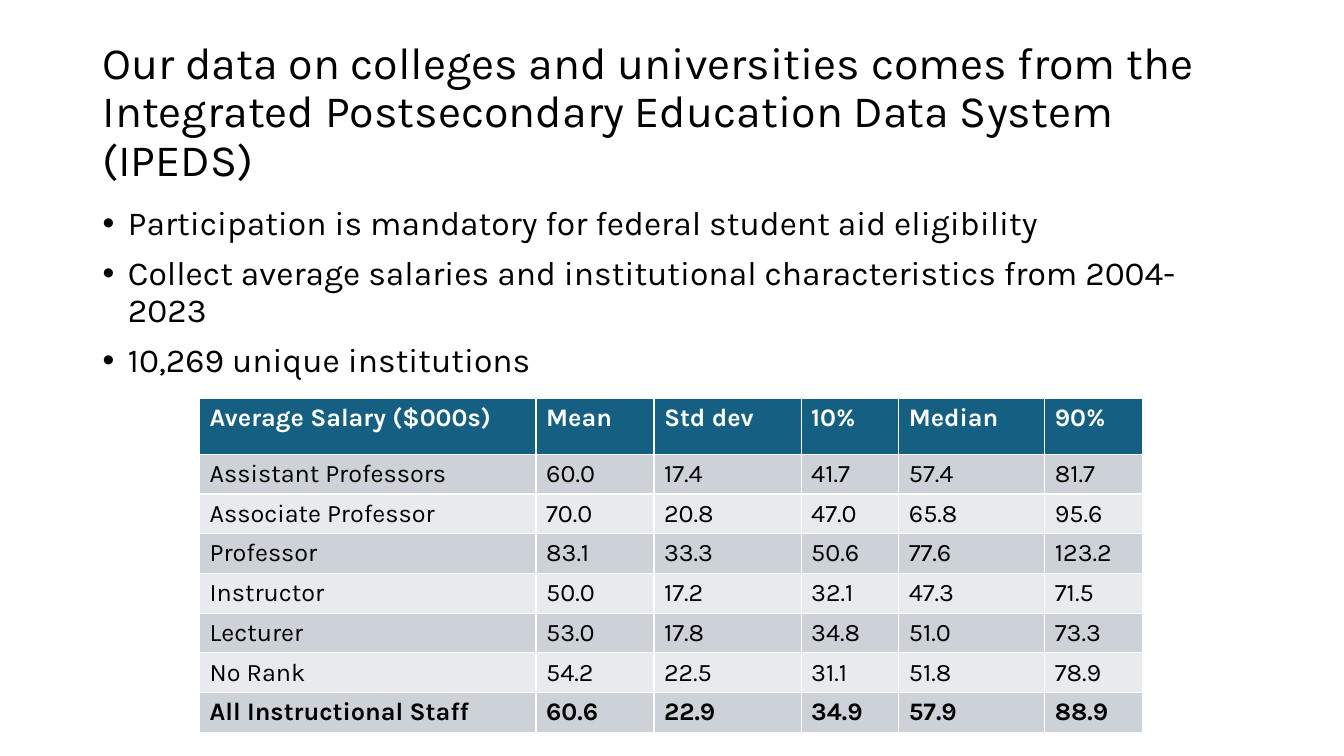
"""Build the slide on the college salary data."""
from lxml.etree import SubElement
from pptx import Presentation
from pptx.dml.color import RGBColor as RGB
from pptx.enum.text import MSO_ANCHOR as Anchor, MSO_AUTO_SIZE as Fit, PP_ALIGN as Align
from pptx.oxml.ns import qn
from pptx.util import Cm, Pt

COLORS = {"text": "000000", "white": "FFFFFF", "head": "156082",
          "dark": "CCD2D8", "light": "E8EAED"}
TITLE = ("Our data on colleges and universities comes from the "
         "Integrated Postsecondary Education Data System (IPEDS)")
POINTS = [
    "Participation is mandatory for federal student aid eligibility",
    "Collect average salaries and institutional characteristics from 2004-2023",
    "10,269 unique institutions",
]
ROWS = [
    ("Average Salary ($000s)", "Mean", "Std dev", "10%", "Median", "90%"),
    ("Assistant Professors", "60.0", "17.4", "41.7", "57.4", "81.7"),
    ("Associate Professor", "70.0", "20.8", "47.0", "65.8", "95.6"),
    ("Professor", "83.1", "33.3", "50.6", "77.6", "123.2"),
    ("Instructor", "50.0", "17.2", "32.1", "47.3", "71.5"),
    ("Lecturer", "53.0", "17.8", "34.8", "51.0", "73.3"),
    ("No Rank", "54.2", "22.5", "31.1", "51.8", "78.9"),
    ("All Instructional Staff", "60.6", "22.9", "34.9", "57.9", "88.9"),
]
WIDTHS = [8.48, 2.97, 3.71, 2.46, 3.68, 2.46]


def style(para, size, color="text", bold=False):
    font = para.font
    font.name, font.size, font.bold = "Karla", Pt(size), bold
    font.color.rgb = RGB.from_string(COLORS[color])


def place(shape, left, top, width, height):
    shape.left, shape.top = Cm(left), Cm(top)
    shape.width, shape.height = Cm(width), Cm(height)
    shape.text_frame.auto_size = Fit.NONE


def add_title(slide):
    title = slide.shapes.title
    place(title, 2.33, 1.01, 29.21, 3.68)
    frame = title.text_frame
    frame.vertical_anchor = Anchor.MIDDLE
    frame.text = TITLE
    para = frame.paragraphs[0]
    para.alignment, para.line_spacing = Align.LEFT, 0.9
    style(para, 32)


def add_list(slide):
    body = slide.placeholders[1]
    place(body, 2.33, 5.08, 29.21, 4.95)
    frame = body.text_frame
    frame.text = "\n".join(POINTS)
    for i, para in enumerate(frame.paragraphs):
        props = para._p.get_or_add_pPr()
        props.set("marL", str(Cm(0.64)))
        props.set("indent", str(-Cm(0.64)))
        SubElement(props, qn("a:buFont"), typeface="Arial")
        SubElement(props, qn("a:buChar"), char="•")
        para.line_spacing = 0.9
        para.space_before = Pt(10 if i else 0)
        style(para, 24)


def add_grid(slide):
    frame = slide.shapes.add_table(len(ROWS), len(WIDTHS), Cm(5.03), Cm(10.03),
                                   Cm(sum(WIDTHS)), Cm(8.42))
    table = frame.table
    for col, width in zip(table.columns, WIDTHS):
        col.width = Cm(width)
    for r, values in enumerate(ROWS):
        head = r == 0
        table.rows[r].height = Cm(1.42 if head else 1)
        fill = "head" if head else "dark" if r % 2 else "light"
        for c, value in enumerate(values):
            cell = table.cell(r, c)
            cell.text = value
            cell.fill.solid()
            cell.fill.fore_color.rgb = RGB.from_string(COLORS[fill])
            style(cell.text_frame.paragraphs[0], 18,
                  "white" if head else "text", r in (0, len(ROWS) - 1))


def main():
    deck = Presentation()
    deck.slide_width, deck.slide_height = Cm(33.87), Cm(19.05)
    slide = deck.slides.add_slide(deck.slide_layouts[1])
    add_title(slide)
    add_list(slide)
    add_grid(slide)
    deck.save("out.pptx")


if __name__ == "__main__":
    main()
